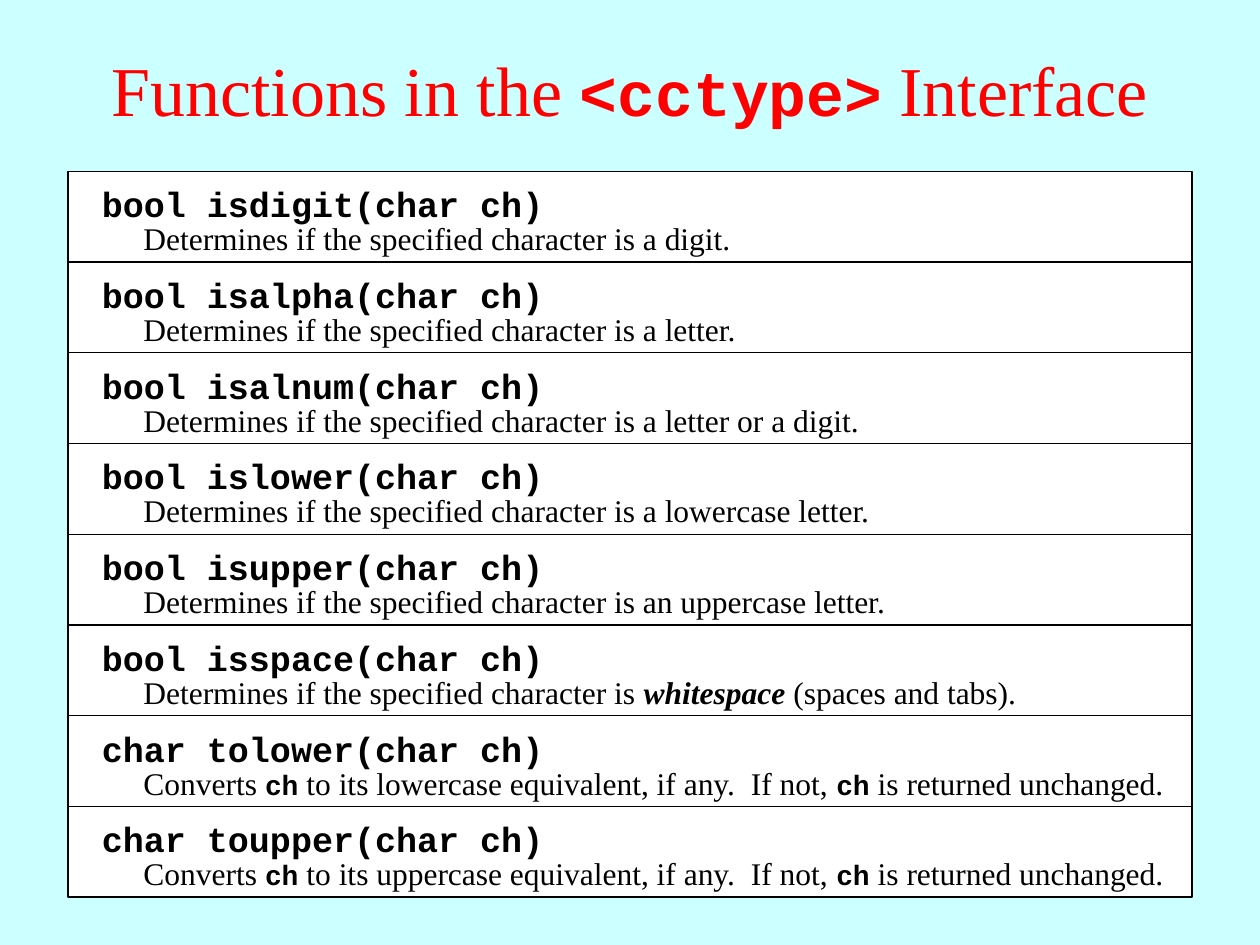
"""Build a slide that lists the functions of the cctype interface."""
from dataclasses import dataclass

from pptx import Presentation
from pptx import util as u
from pptx.dml.color import RGBColor
from pptx.enum import shapes, text


@dataclass(frozen=True)
class Style:
    font: str
    size: int
    color: str = "000000"
    bold: bool = False
    italic: bool = False


@dataclass(frozen=True)
class Theme:
    background: str = "CCFFFF"
    panel: str = "FFFFFF"
    border: str = "000000"
    border_width: float = 0.75
    title: Style = Style("Times New Roman", 40, "FF0000")
    title_code: Style = Style("Courier New", 36, "FF0000", bold=True)
    signature: Style = Style("Courier New", 20, bold=True)
    body: Style = Style("Times New Roman", 18)
    term: Style = Style("Times New Roman", 18, bold=True, italic=True)
    code: Style = Style("Courier New", 16, bold=True)


@dataclass(frozen=True)
class Span:
    content: str
    style: Style


@dataclass(frozen=True)
class Area:
    left: float
    top: float
    width: float
    height: float

    def lengths(self) -> tuple:
        return tuple(u.Inches(value) for value in
                     (self.left, self.top, self.width, self.height))


@dataclass(frozen=True)
class Function:
    signature: str
    description: tuple[Span, ...]


THEME = Theme()
WIDTH, HEIGHT = 10, 7.5
MARGIN = 0.054 * WIDTH
FIRST_ROW = 1.36
ROW_HEIGHT = 0.72


def test(name: str, *ending: Span) -> Function:
    opening = Span("Determines if the specified character is ", THEME.body)
    return Function(f"bool {name}(char ch)", (opening, *ending))


def conversion(case: str) -> Function:
    variable = Span("ch", THEME.code)
    return Function(f"char to{case}(char ch)", (
        Span("Converts ", THEME.body), variable,
        Span(f" to its {case}case equivalent, if any.  If not, ", THEME.body),
        variable, Span(" is returned unchanged.", THEME.body)))


FUNCTIONS = (
    test("isdigit", Span("a digit.", THEME.body)),
    test("isalpha", Span("a letter.", THEME.body)),
    test("isalnum", Span("a letter or a digit.", THEME.body)),
    test("islower", Span("a lowercase letter.", THEME.body)),
    test("isupper", Span("an uppercase letter.", THEME.body)),
    test("isspace", Span("whitespace ", THEME.term),
         Span("(spaces and tabs).", THEME.body)),
    conversion("lower"),
    conversion("upper"),
)


def add_text(parent, area: Area, spans: tuple[Span, ...], inset: float = 0.05,
             centered: bool = False) -> None:
    frame = parent.add_textbox(*area.lengths()).text_frame
    frame.word_wrap = True
    frame.margin_top = u.Inches(inset)
    frame.margin_bottom = u.Inches(0.05 if centered else 0)
    frame.vertical_anchor = text.MSO_ANCHOR.MIDDLE if centered else text.MSO_ANCHOR.TOP
    para = frame.paragraphs[0]
    para.alignment = text.PP_ALIGN.CENTER if centered else text.PP_ALIGN.LEFT
    for span in spans:
        run = para.add_run()
        run.text = span.content
        run.font.name = span.style.font
        run.font.size = u.Pt(span.style.size)
        run.font.bold = span.style.bold
        run.font.italic = span.style.italic
        run.font.color.rgb = RGBColor.from_string(span.style.color)


def add_panel(parent, area: Area) -> None:
    panel = parent.add_shape(shapes.MSO_SHAPE.RECTANGLE, *area.lengths())
    panel.shadow.inherit = False
    panel.fill.solid()
    panel.fill.fore_color.rgb = RGBColor.from_string(THEME.panel)
    panel.line.color.rgb = RGBColor.from_string(THEME.border)
    panel.line.width = u.Pt(THEME.border_width)


def add_function(page, row: int, function: Function) -> None:
    top = FIRST_ROW + row * ROW_HEIGHT
    group = page.shapes.add_group_shape().shapes
    add_panel(group, Area(MARGIN, top, WIDTH - 2 * MARGIN, ROW_HEIGHT))
    add_text(group, Area(0.71, top - 0.01, 8.58, 0.43),
             (Span(function.signature, THEME.signature),), inset=0.1)
    add_text(group, Area(1.04, top + 0.31, 8.33, 0.4),
             function.description, inset=0.07)


def main() -> None:
    deck = Presentation()
    deck.slide_width, deck.slide_height = u.Inches(WIDTH), u.Inches(HEIGHT)
    page = deck.slides.add_slide(deck.slide_layouts[6])
    page.background.fill.solid()
    page.background.fill.fore_color.rgb = RGBColor.from_string(THEME.background)
    add_text(page.shapes, Area(0, 0.08, WIDTH, HEIGHT / 6), (
        Span("Functions in the ", THEME.title),
        Span("<cctype>", THEME.title_code),
        Span(" Interface", THEME.title)), centered=True)
    for row, function in enumerate(FUNCTIONS):
        add_function(page, row, function)
    deck.save("out.pptx")


if __name__ == "__main__":
    main()
